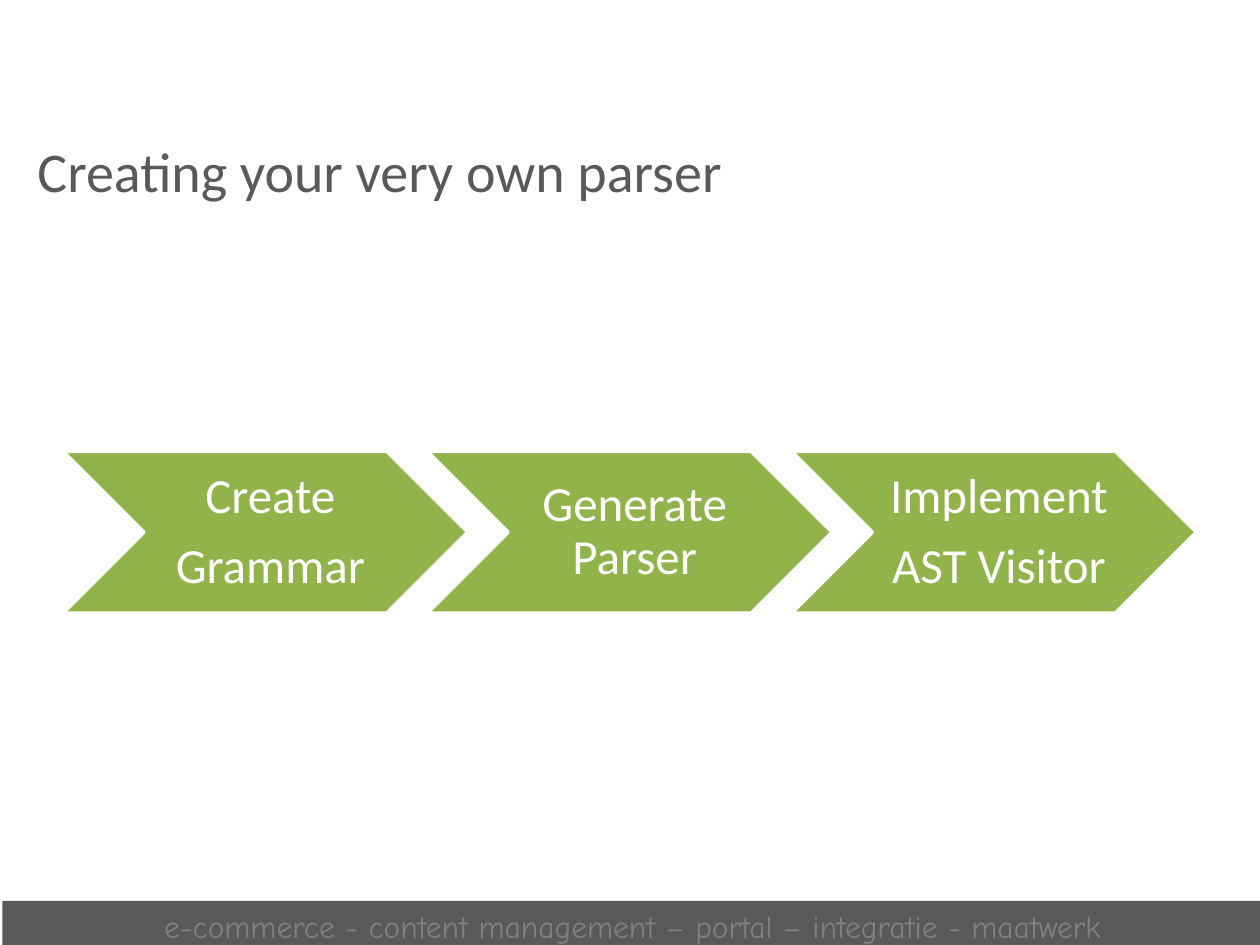
"""Build the slide showing the three steps of creating a parser."""
from dataclasses import dataclass

from pptx import Presentation
from pptx.dml import color
from pptx.enum import shapes, text
from pptx.util import Cm, Pt

COLORS = {
    "white": "FFFFFF",
    "step": "91B44A",
    "title": "59595C",
    "footer": "595959",
    "footer_text": "808080",
}


@dataclass(frozen=True)
class Step:
    lines: tuple[str, ...]


STEPS = (
    Step(("Create", "Grammar")),
    Step(("Generate Parser",)),
    Step(("Implement", "AST Visitor")),
)
STEP_LEFT, STEP_TOP = 1.27, 9.1
STEP_WIDTH, STEP_HEIGHT = 8.16, 3.26
STEP_PITCH = 0.9 * STEP_WIDTH


def rgb(name: str) -> color.RGBColor:
    return color.RGBColor.from_string(COLORS[name])


def add_run(paragraph, words: str, font: str, size: float, tint: str) -> None:
    run = paragraph.add_run()
    run.text = words
    run.font.name = font
    run.font.size = Pt(size)
    run.font.color.rgb = rgb(tint)


def add_filled(slide, kind, left: float, top: float, width: float, height: float, fill: str):
    shape = slide.shapes.add_shape(kind, Cm(left), Cm(top), Cm(width), Cm(height))
    shape.shadow.inherit = False
    shape.fill.solid()
    shape.fill.fore_color.rgb = rgb(fill)
    return shape


def draw_footer(slide) -> None:
    footer = add_filled(slide, shapes.MSO_SHAPE.RECTANGLE, 0.05, 18.16, 25.4, 1.02, "footer")
    footer.line.fill.background()
    frame = footer.text_frame
    frame.vertical_anchor = text.MSO_ANCHOR.TOP
    paragraph = frame.paragraphs[0]
    paragraph.alignment = text.PP_ALIGN.CENTER
    add_run(paragraph, "e-commerce - content management – portal – integratie - maatwerk",
            "Comic Neue", 18, "footer_text")


def draw_step(slide, index: int, step: Step) -> None:
    chevron = add_filled(slide, shapes.MSO_SHAPE.CHEVRON, STEP_LEFT + index * STEP_PITCH,
                         STEP_TOP, STEP_WIDTH, STEP_HEIGHT, "step")
    chevron.line.color.rgb = rgb("white")
    chevron.line.width = Pt(2)
    frame = chevron.text_frame
    frame.word_wrap = True
    frame.vertical_anchor = text.MSO_ANCHOR.MIDDLE
    frame.margin_left = Cm(0.3)
    frame.margin_right = frame.margin_top = frame.margin_bottom = Cm(0.1)
    for number, line in enumerate(step.lines):
        paragraph = frame.add_paragraph() if number else frame.paragraphs[0]
        paragraph.alignment = text.PP_ALIGN.CENTER
        paragraph.line_spacing = 0.9
        paragraph.space_after = Pt(9.8)
        add_run(paragraph, line, "Calibri", 28, "white")


def draw_title(slide) -> None:
    title = slide.shapes.title
    title.left, title.top, title.width, title.height = Cm(0.5), Cm(2.62), Cm(23.62), Cm(2.1)
    frame = title.text_frame
    frame.vertical_anchor = text.MSO_ANCHOR.TOP
    paragraph = frame.paragraphs[0]
    paragraph.alignment = text.PP_ALIGN.LEFT
    add_run(paragraph, "Creating your very own parser", "Calibri", 32, "title")


def main() -> None:
    deck = Presentation()
    deck.slide_width, deck.slide_height = Cm(25.4), Cm(19.05)
    slide = deck.slides.add_slide(deck.slide_layouts[5])
    draw_footer(slide)
    for index, step in enumerate(STEPS):
        draw_step(slide, index, step)
    draw_title(slide)
    deck.save("out.pptx")


main()
